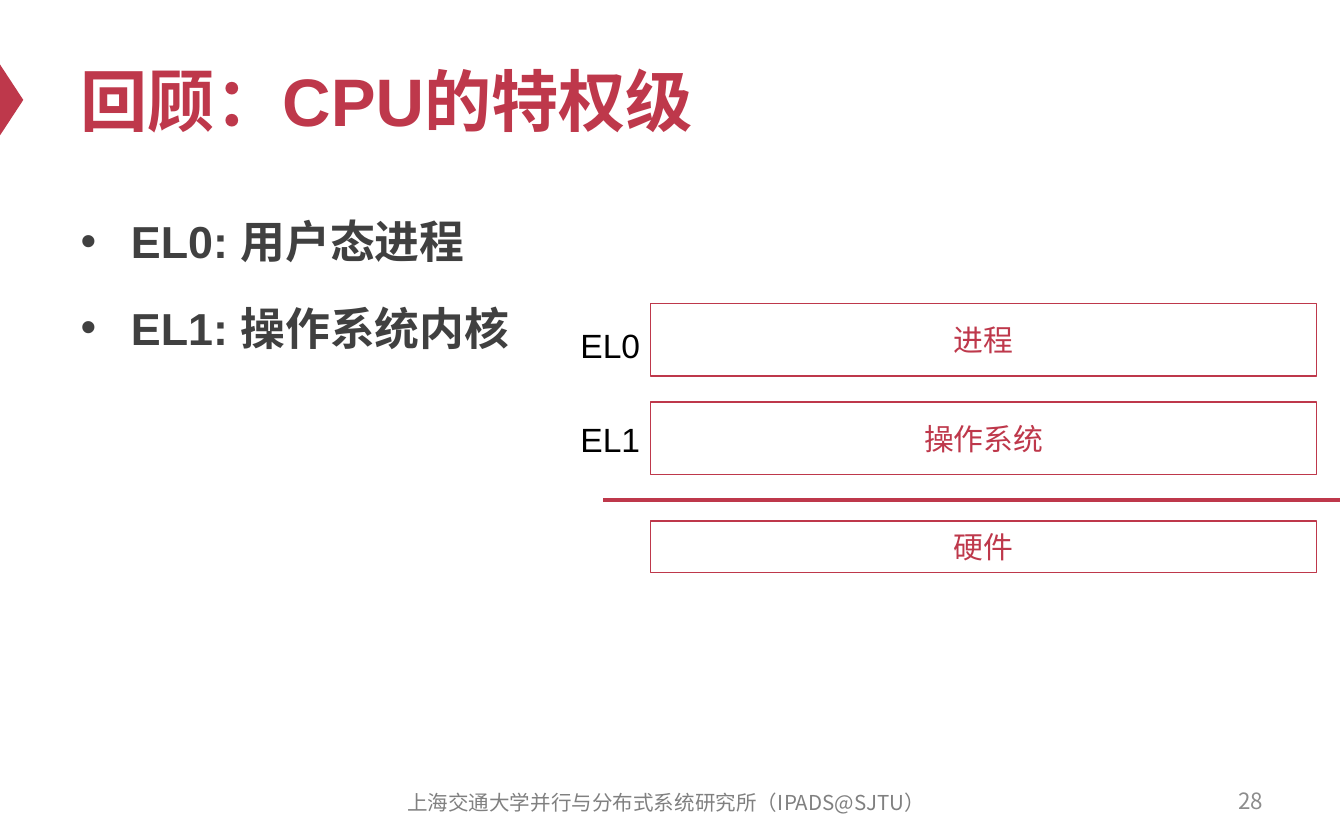
from pptx import Presentation
from pptx.util import Cm, Pt
from pptx.dml.color import RGBColor
from pptx.enum.shapes import MSO_SHAPE, MSO_CONNECTOR
from pptx.enum.text import PP_ALIGN, MSO_ANCHOR, MSO_AUTO_SIZE
from pptx.oxml.ns import qn
from lxml.etree import SubElement

# Content
TITLE = "回顾：CPU的特权级"
POINTS = ["EL0: 用户态进程", "EL1: 操作系统内核"]
# (text, top, height) in cm
LAYERS = [("进程", 5.74, 1.37), ("操作系统", 7.6, 1.37), ("硬件", 9.85, 0.97)]
# (text, top) in cm
LEVELS = [("EL0", 6.02), ("EL1", 7.8)]
# (text, left, top, width, size, colour, align)
FOOTER = [
    ("上海交通大学并行与分布式系统研究所（IPADS@SJTU）",
     7.09, 14.74, 11, "foot", "grey", PP_ALIGN.CENTER),
    ("28", 18.2, 14.71, 5.92, "page", "pale", PP_ALIGN.RIGHT),
]

THEME = {
    "main": "Arial", "cjk": "Noto Sans CJK SC",
    "red": "BE384B", "dark": "404040", "grey": "808080", "pale": "8C8C8C",
    "black": "000000", "white": "FFFFFF",
    "title": 36, "body": 24, "level": 18, "layer": 16, "page": 12, "foot": 11,
}


def tint(name):
    return RGBColor.from_string(THEME[name])


def style(para, size, color, face="main", bold=False, align=PP_ALIGN.LEFT):
    para.alignment = align
    font = para.font
    font.name, font.size, font.bold = THEME[face], Pt(THEME[size]), bold
    font.color.rgb = tint(color)
    SubElement(font._element, qn("a:ea")).set("typeface", THEME["cjk"])


def place(shape, left, top, width, height):
    shape.left, shape.top = Cm(left), Cm(top)
    shape.width, shape.height = Cm(width), Cm(height)


def label(slide, text, left, top, width, height):
    box = slide.shapes.add_textbox(Cm(left), Cm(top), Cm(width), Cm(height))
    box.text_frame.text = text
    return box.text_frame


def bullet(para):
    props = para._p.get_or_add_pPr()
    props.set("marL", str(Cm(0.95)))
    props.set("indent", str(-Cm(0.95)))
    SubElement(props, qn("a:buFont")).set("typeface", THEME["main"])
    SubElement(props, qn("a:buChar")).set("char", "•")


def main():
    deck = Presentation()
    deck.slide_width, deck.slide_height = Cm(25.4), Cm(15.88)
    slide = deck.slides.add_slide(deck.slide_layouts[1])
    title, body = slide.placeholders

    # Marker at the left edge
    mark = slide.shapes.add_shape(MSO_SHAPE.ISOSCELES_TRIANGLE,
                                  Cm(-0.45), Cm(1.67), Cm(1.34), Cm(0.44))
    mark.rotation = 90
    mark.shadow.inherit = False
    mark.fill.solid()
    mark.fill.fore_color.rgb = tint("red")
    mark.line.fill.background()

    # Title
    place(title, 1.27, 0.64, 22.86, 2.49)
    frame = title.text_frame
    frame.text = TITLE
    frame.auto_size = MSO_AUTO_SIZE.NONE
    frame.vertical_anchor = MSO_ANCHOR.MIDDLE
    style(frame.paragraphs[0], "title", "red", bold=True)

    # List
    place(body, 1.27, 3.71, 22.86, 10.46)
    frame = body.text_frame
    frame.text = "\n".join(POINTS)
    frame.auto_size = MSO_AUTO_SIZE.NONE
    for i, para in enumerate(frame.paragraphs):
        bullet(para)
        para.line_spacing = 1.2
        para.space_before = Pt(12 if i else 0)
        style(para, "body", "dark", bold=True)

    # Footer and page number
    for text, left, top, width, size, color, align in FOOTER:
        frame = label(slide, text, left, top, width, 0.84)
        frame.word_wrap = True
        frame.vertical_anchor = MSO_ANCHOR.MIDDLE
        style(frame.paragraphs[0], size, color, "cjk", align=align)

    # Layer boxes
    for text, top, height in LAYERS:
        box = slide.shapes.add_shape(MSO_SHAPE.RECTANGLE,
                                     Cm(12.3), Cm(top), Cm(12.58), Cm(height))
        box.shadow.inherit = False
        box.fill.solid()
        box.fill.fore_color.rgb = tint("white")
        box.line.color.rgb = tint("red")
        box.line.width = Pt(0.75)
        box.text_frame.text = text
        box.text_frame.vertical_anchor = MSO_ANCHOR.MIDDLE
        style(box.text_frame.paragraphs[0], "layer", "red",
              align=PP_ALIGN.CENTER)

    # Line between software and hardware
    rule = slide.shapes.add_connector(MSO_CONNECTOR.STRAIGHT,
                                      Cm(11.4), Cm(9.45), Cm(25.32), Cm(9.45))
    rule.line.color.rgb = tint("red")
    rule.line.width = Pt(2)
    SubElement(rule._element.spPr, qn("a:effectLst"))

    # Level labels
    for text, top in LEVELS:
        frame = label(slide, text, 10.72, top, 1.65, 1.02)
        frame.word_wrap = False
        frame.auto_size = MSO_AUTO_SIZE.SHAPE_TO_FIT_TEXT
        style(frame.paragraphs[0], "level", "black")

    deck.save("out.pptx")


if __name__ == "__main__":
    main()
